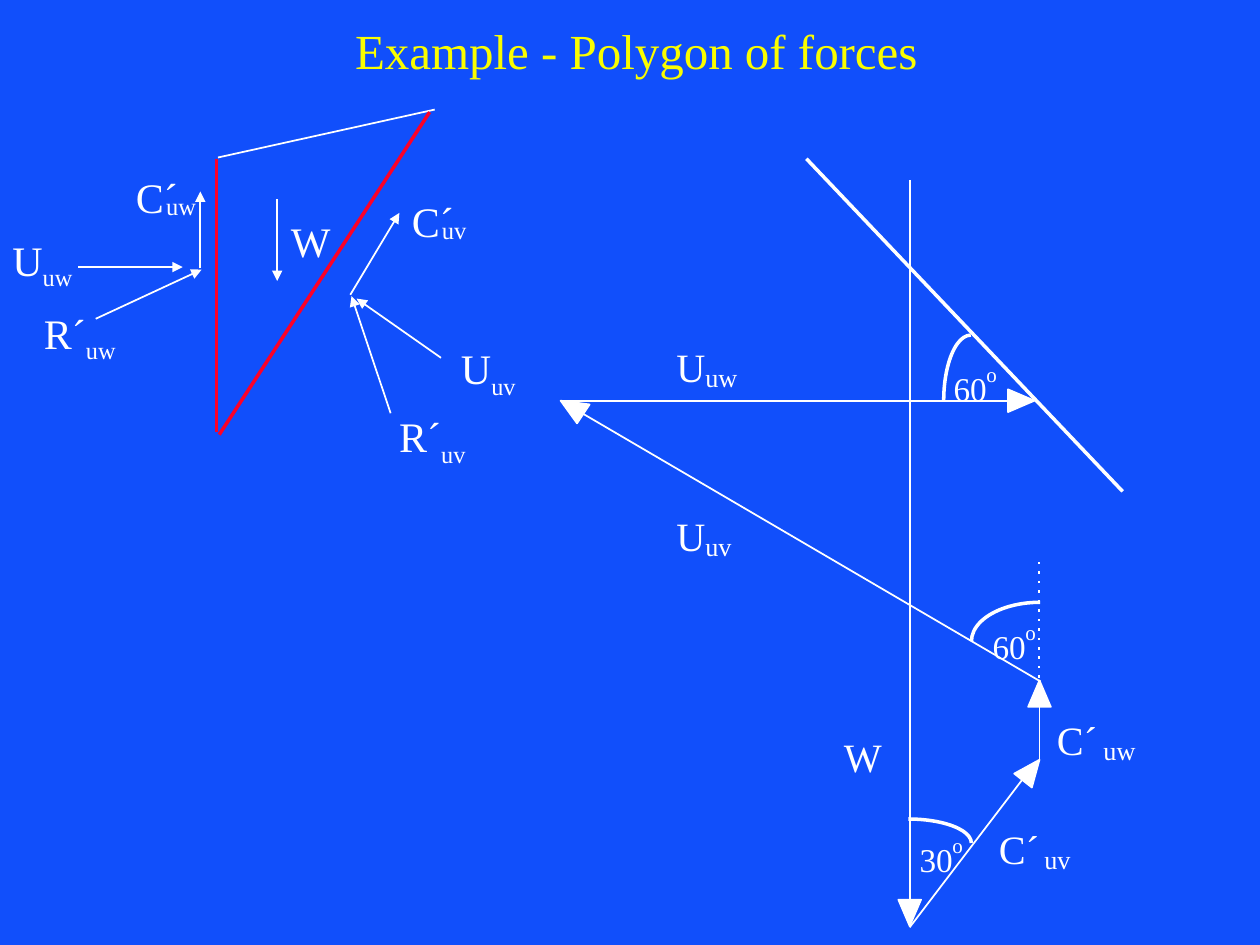
from lxml import etree
from pptx import Presentation, util as u
from pptx.dml.color import RGBColor
from pptx.enum import shapes, text
from pptx.oxml.ns import qn

BLUE, YELLOW, WHITE, RED = "114FFB", "FAFD00", "FFFFFF", "FC0128"
FONT = "Times New Roman"
SUB_W = 0.5  # wide enough to keep each subscript on one line


def rgb(value):
    return RGBColor.from_string(value)


class Board:
    """Style and current slide; `shapes` is where new elements go."""

    def __init__(self, slide):
        self.slide = slide
        self.shapes = slide.shapes
        bg = slide.background.fill
        bg.solid()
        bg.fore_color.rgb = rgb(BLUE)

    def start_group(self):
        self.shapes = self.slide.shapes.add_group_shape().shapes

    def end_group(self):
        self.shapes = self.slide.shapes

    def format_text(self, sp, content, size, color=WHITE, sub="", wrap=False,
                    align=text.PP_ALIGN.LEFT):
        tf = sp.text_frame
        frame = {"word_wrap": wrap, "vertical_anchor": text.MSO_ANCHOR.TOP,
                 "auto_size": text.MSO_AUTO_SIZE.SHAPE_TO_FIT_TEXT}
        for name, value in frame.items():
            setattr(tf, name, value)
        p = tf.paragraphs[0]
        p.alignment = align
        p.space_before = u.Pt(0)
        for part in filter(None, (content, sub)):
            r = p.add_run()
            r.text = part
            for name, value in {"name": FONT, "size": u.Pt(size)}.items():
                setattr(r.font, name, value)
            r.font.color.rgb = rgb(color)
        if sub:
            r._r.get_or_add_rPr().set("baseline", "-25000")

    def title(self, content, box, size):
        sp = self.slide.shapes.title
        for name, value in zip(("left", "top", "width", "height"), box):
            setattr(sp, name, u.Inches(value))
        self.format_text(sp, content, size, YELLOW, wrap=True,
                         align=text.PP_ALIGN.CENTER)

    def label(self, content, x, y, w, h, size, sub="", wrap=False):
        sp = self.shapes.add_textbox(*map(u.Inches, (x, y, w, h)))
        self.format_text(sp, content, size, sub=sub, wrap=wrap)

    def symbol(self, content, x, y, w, sub, dx):
        """Force symbol with its subscript in a box of its own."""
        self.label(content, x, y, w, 0.48, 23)
        self.label(sub, x + dx, y + 0.15, SUB_W, 0.35, 15, wrap=True)

    def degrees(self, content, x, y):
        self.label(content, x, y, 0.46, 0.41, 19)
        self.label("o", x + 0.26, y - 0.05, 0.28, 0.3, 12)

    def line(self, x1, y1, x2, y2, color=WHITE, width=1, end=None):
        """Straight line; end is "headEnd" or "tailEnd" for an arrowhead."""
        cx = self.shapes.add_connector(shapes.MSO_CONNECTOR.STRAIGHT,
                                       *map(u.Inches, (x1, y1, x2, y2)))
        cx.line.color.rgb = rgb(color)
        cx.line.width = u.Pt(width)
        if end:
            etree.SubElement(cx.line._get_or_add_ln(), qn("a:" + end), type="triangle")
        etree.SubElement(cx._element.spPr, qn("a:effectLst"))

    def polygon(self, points, outline=True):
        pts = [(u.Inches(x), u.Inches(y)) for x, y in points]
        fb = self.shapes.build_freeform(*pts[0], scale=1.0)
        fb.add_line_segments(pts[1:], close=True)
        sp = fb.convert_to_shape()
        sp.shadow.inherit = False
        sp.fill.solid()
        sp.fill.fore_color.rgb = rgb(WHITE)
        if outline:
            sp.line.color.rgb = rgb(WHITE)
            sp.line.width = u.Pt(1)
        else:
            sp.line.fill.background()

    def arc(self, box, start, end):
        """Arc of an ellipse, angles in degrees clockwise from the right."""
        sp = self.shapes.add_shape(shapes.MSO_SHAPE.ARC, *map(u.Inches, box))
        sp.shadow.inherit = False
        sp.adjustments[0], sp.adjustments[1] = start * 0.6, end * 0.6
        sp.fill.background()
        sp.line.color.rgb = rgb(WHITE)
        sp.line.width = u.Pt(2)


def draw_wedge(b):
    b.start_group()
    b.line(1.73, 1.25, 3.45, 0.87)
    b.line(1.74, 3.45, 3.41, 0.89, RED, 2)
    b.line(1.72, 1.26, 1.72, 3.43, RED, 2)
    for ends, end in (
        ((0.62, 2.12, 1.45, 2.12), "tailEnd"),
        ((1.6, 2.14, 0.76, 2.53), "headEnd"),
        ((1.59, 2.13, 1.59, 1.52), "tailEnd"),
        ((2.83, 2.37, 3.5, 2.84), "headEnd"),
        ((2.79, 2.35, 3.1, 3.28), "headEnd"),
        ((2.78, 2.34, 3.17, 1.69), "tailEnd"),
        ((2.2, 1.58, 2.2, 2.23), "tailEnd"),
    ):
        b.line(*ends, end=end)
    for content, sub, x, y, w, wrap in (
        ("R´", "uv", 3.07, 3.21, 0.73, False),
        ("R´", "uw", 0.25, 2.39, 0.77, False),
        ("U", "uw", 0, 1.81, 0.77, True),
        ("U", "uv", 3.56, 2.67, 0.79, True),
    ):
        b.label(content, x, y, w, 0.55, 24, sub, wrap)
    for sub, x, y in (("uv", 3.17, 1.5), ("uw", 0.98, 1.31)):
        b.label("C´", x, y, 0.53, 0.5, 24)
        b.label(sub, x + 0.24, y + 0.16, SUB_W, 0.33, 14, wrap=True)
    b.label("W", 2.21, 1.66, 0.56, 0.5, 24, wrap=True)
    b.end_group()


def draw_polygon_of_forces(b):
    for shaft, head in (
        ((7.22, 1.43, 7.22, 7.19), ((7.31, 7.14), (7.13, 7.14), (7.22, 7.35))),
        ((7.22, 7.36, 8.15, 6.14), ((8.05, 6.14), (8.19, 6.25), (8.25, 6.03))),
        ((8.25, 6.03, 8.25, 5.55), ((8.16, 5.61), (8.34, 5.61), (8.25, 5.4))),
        ((8.26, 5.41, 4.57, 3.25), ((4.58, 3.36), (4.68, 3.21), (4.45, 3.18))),
        ((4.45, 3.18, 8.05, 3.18), ((8, 3.09), (8, 3.27), (8.21, 3.18))),
    ):
        b.line(*shaft)
        b.polygon(head)
    b.line(8.91, 3.9, 6.4, 1.26, width=2)

    b.degrees("30", 7.2, 6.61)
    b.degrees("60", 7.47, 2.87)
    b.arc((7.49, 2.66, 0.43, 1.04), 180, 270)
    b.arc((6.71, 6.5, 1, 0.38), 270, 0)

    dots, first, last = 13, 5.36, 4.46
    for i in range(dots):
        y = first + (last - first) * i / (dots - 1)
        b.polygon(((8.24, y + 0.02), (8.25, y + 0.02), (8.25, y), (8.24, y)),
                  outline=False)
    b.degrees("60", 7.78, 4.92)
    b.arc((7.71, 4.78, 1.09, 0.62), 180, 270)

    b.label("W", 6.6, 5.76, 0.5, 0.48, 23)
    b.symbol("C´", 7.83, 6.49, 0.52, "uv", 0.36)
    b.symbol("C´", 8.29, 5.63, 0.52, "uw", 0.37)
    b.symbol("U", 5.27, 4.01, 0.43, "uv", 0.23)
    b.symbol("U", 5.27, 2.67, 0.43, "uw", 0.23)


def main():
    prs = Presentation()
    prs.slide_width, prs.slide_height = u.Inches(10), u.Inches(7.5)
    b = Board(prs.slides.add_slide(prs.slide_layouts[5]))
    b.title("Example - Polygon of forces", (0.73, 0.11, 8.64, 0.56), 28)
    draw_wedge(b)
    draw_polygon_of_forces(b)
    prs.save("out.pptx")


if __name__ == "__main__":
    main()
